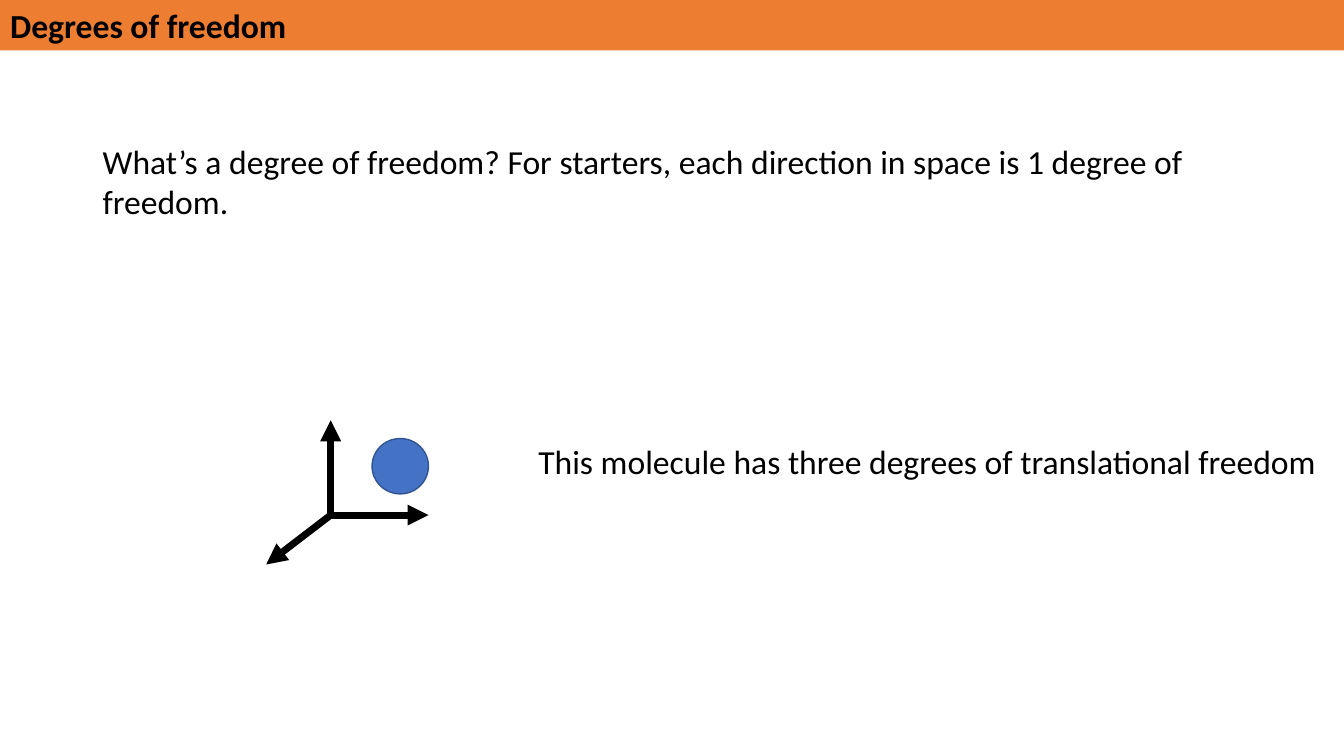
import pptx
import pptx.util
import pptx.dml.color
import pptx.enum.shapes
import pptx.enum.text
import pptx.oxml
import pptx.oxml.ns
from lxml import etree

# Content
TITLE = "Degrees of freedom"
TEXTS = [  # text, (left, top, width, height) in inches
    ("What’s a degree of freedom? For starters, each direction in space "
     "is 1 degree of freedom.", (0.92, 1.35, 11.5, 0.91)),
    ("This molecule has three degrees of translational freedom",
     (5.24, 4.33, 8.09, 0.5)),
]
ORIGIN = (3.28, 5.11)
AXES = [(-0.64, 0.49), (0, -0.94), (0.97, 0)]  # offsets from the origin
MOLECULE = (3.69, 4.35, 0.56, 0.55)

# Style
COLORS = {"text": "000000", "bar": "ED7D31", "molecule": "4472C4",
          "outline": "325491"}
FONT, SIZE = "Calibri", 24
WIDTH, HEIGHT = 13.33, 7.5


def rgb(name):
    return pptx.dml.color.RGBColor.from_string(COLORS[name])


def inches(values):
    return [pptx.util.Inches(v) for v in values]


def write(sp, text, bold=False):
    tf = sp.text_frame
    tf.word_wrap = True
    tf.auto_size = pptx.enum.text.MSO_AUTO_SIZE.NONE
    p = tf.paragraphs[0]
    p.alignment = pptx.enum.text.PP_ALIGN.LEFT
    r = p.add_run()
    r.text = text
    r.font.name, r.font.size = FONT, pptx.util.Pt(SIZE)
    r.font.bold = bold
    r.font.color.rgb = rgb("text")


def add_arrow(s, start, end):
    cx = s.shapes.add_connector(pptx.enum.shapes.MSO_CONNECTOR.STRAIGHT,
                                *inches(start), *inches(end))
    cx.line.width = pptx.util.Pt(5)
    cx.line.color.rgb = rgb("text")
    qn = pptx.oxml.ns.qn
    etree.SubElement(cx.line._get_or_add_ln(), qn("a:tailEnd"), type="triangle")
    etree.SubElement(cx._element.spPr, qn("a:effectLst"))


def main():
    prs = pptx.Presentation()
    prs.slide_width, prs.slide_height = inches((WIDTH, HEIGHT))
    s = prs.slides.add_slide(prs.slide_layouts[5])

    # Title bar
    sp = s.shapes.title
    sp.left, sp.top, sp.width, sp.height = inches((0, 0, WIDTH, 0.5))
    sp.fill.solid()
    sp.fill.fore_color.rgb = rgb("bar")
    sp.text_frame.vertical_anchor = pptx.enum.text.MSO_ANCHOR.MIDDLE
    write(sp, TITLE, bold=True)

    # Statements
    for text, box in TEXTS:
        write(s.shapes.add_textbox(*inches(box)), text)

    # Molecule
    sp = s.shapes.add_shape(pptx.enum.shapes.MSO_SHAPE.OVAL, *inches(MOLECULE))
    sp.shadow.inherit = False
    sp.fill.solid()
    sp.fill.fore_color.rgb = rgb("molecule")
    sp.line.color.rgb = rgb("outline")
    sp.line.width = pptx.util.Pt(1)

    # Axes of motion
    x, y = ORIGIN
    for dx, dy in AXES:
        add_arrow(s, ORIGIN, (x + dx, y + dy))

    prs.save("out.pptx")


if __name__ == "__main__":
    main()
